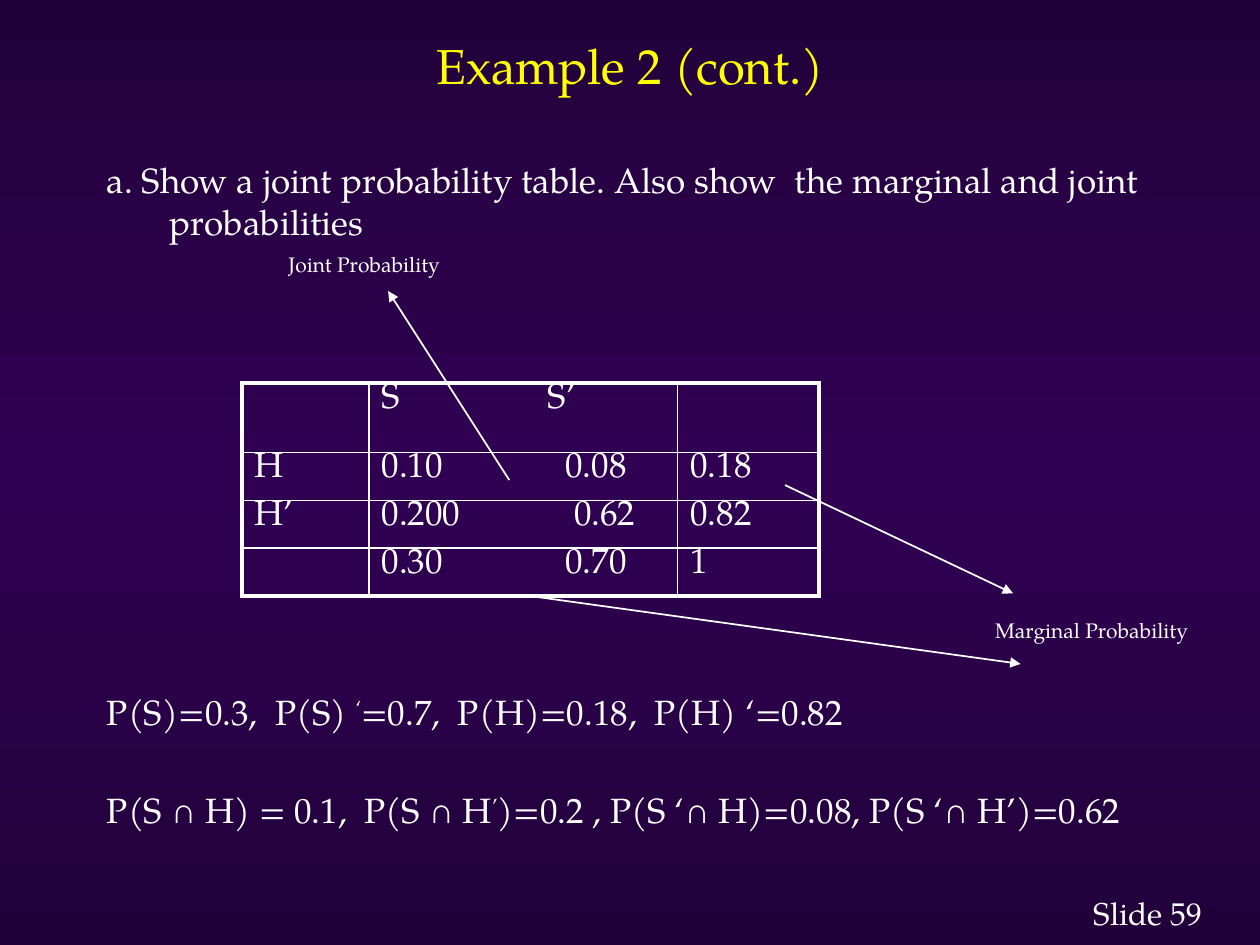
import copy
import pptx
import pptx.util
import pptx.dml.color
import pptx.enum.shapes
import pptx.enum.text
import pptx.oxml.ns
from lxml import etree

Pt = pptx.util.Pt
RGB = pptx.dml.color.RGBColor.from_string
Align = pptx.enum.text.PP_ALIGN
Anchor = pptx.enum.text.MSO_ANCHOR

# Content
TITLE = "Example 2 (cont.)"
# Space before, then runs; a lone quote mark is raised
BODY = [
    (0, ["a. Show a joint probability table. Also show  the marginal and joint probabilities"]),
    (256, ["P(S)=0.3,  P(S) ", "‘", "=0.7,  P(H)=0.18,  P(H) ‘=0.82"]),
    (32, ["P(S ", "∩", " H) = 0.1,  P(S ", "∩", " H", "’", ")=0.2 , P(S ‘", "∩",
          " H)=0.08, P(S ‘", "∩", " H’)=0.62"]),
]
ROWS = [
    ["", "S\tS’", ""],
    ["H", "0.10\t0.08", "0.18"],
    ["H’", "0.200\t0.62", "0.82"],
    ["", "0.30\t0.70", "1"],
]
TABS = [95, 105, 110, 105]
LABELS = [("Marginal Probability", 561.6, 349.2, 125),
          ("Joint Probability", 157.7, 140.4, 101)]
ARROWS = [((291, 274.3), (221.8, 166.3)),
          ((303, 340.6), (583.2, 379.4)),
          ((448.6, 277.2), (578.9, 339.1))]
FOOT = "Slide 59"

THEME = {
    "font": "TeX Gyre Pagella", "math": "Arial",
    "text": "FFFFFF", "title": "FFFF00",
    "back": [(0, "22013B"), (0.5, "300153"), (1, "22013B")],
    "big": 28, "body": 20, "foot": 18, "small": 12,
    "thick": 2.25, "thin": 1,
}
COLS = [72.7, 176.4, 80.7]
HEADS = [39.6, 27.4, 27.4, 27.4]


def style(run, size, color=THEME["text"], font=THEME["font"]):
    run.font.size = Pt(size)
    run.font.name = font
    run.font.color.rgb = RGB(color)


def add_text(slide, text, box, size, color=THEME["text"], wrap=False):
    frame = slide.shapes.add_textbox(*map(Pt, box)).text_frame
    frame.word_wrap = wrap
    frame.text = text
    for run in frame.paragraphs[0].runs:
        style(run, size, color)
    return frame


def sub(parent, tag, **attrs):
    return etree.SubElement(parent, pptx.oxml.ns.qn(tag), attrs)


def add_edge(props, side, width):
    line = sub(props, "a:" + side, w=str(Pt(width)))
    sub(sub(line, "a:solidFill"), "a:srgbClr", val=THEME["text"])


def paint(slide):
    fill = slide.background.fill
    fill.gradient()
    fill.gradient_angle = 90
    stops = slide.background._cSld.xpath(".//a:gsLst")[0]
    stops.append(copy.deepcopy(stops[0]))
    for stop, (place, color) in zip(fill.gradient_stops, THEME["back"]):
        stop.position = place
        stop.color.rgb = RGB(color)


def add_body(slide):
    frame = add_text(slide, "", (54, 87.1, 612, 418.3), THEME["body"], wrap=True)
    for num, (gap, parts) in enumerate(BODY):
        para = frame.add_paragraph() if num else frame.paragraphs[0]
        para.space_before = Pt(gap)
        props = para._p.get_or_add_pPr()
        props.set("marL", str(Pt(36)))
        props.set("indent", str(Pt(-36)))
        for part in parts:
            run = para.add_run()
            run.text = part
            style(run, THEME["body"], font=THEME["math" if part == "∩" else "font"])
            if part in ("‘", "’"):
                run._r.get_or_add_rPr().set("baseline", "30000")


def add_grid(slide):
    shape = slide.shapes.add_table(len(ROWS), len(COLS), Pt(138.2), Pt(218.9),
                                   Pt(sum(COLS)), Pt(sum(HEADS)))
    table = shape.table
    table.first_row = table.horz_banding = False
    for col, width in zip(table.columns, COLS):
        col.width = Pt(width)
    for row, height in zip(table.rows, HEADS):
        row.height = Pt(height)
    for r, row in enumerate(ROWS):
        for c, text in enumerate(row):
            cell = table.cell(r, c)
            cell.margin_top = cell.margin_bottom = 0
            cell.text_frame.text = text
            para = cell.text_frame.paragraphs[0]
            for run in para.runs:
                style(run, THEME["body"])
            if "\t" in text:
                stops = sub(para._p.get_or_add_pPr(), "a:tabLst")
                sub(stops, "a:tab", pos=str(Pt(TABS[r])), algn="l")
            # Thick outer edges, thin inner ones
            outer = {"lnL": c == 0, "lnR": c == len(COLS) - 1,
                     "lnT": r == 0, "lnB": r == len(ROWS) - 1}
            props = cell._tc.get_or_add_tcPr()
            for side, edge in outer.items():
                add_edge(props, side, THEME["thick" if edge else "thin"])
            cell.fill.background()


def add_arrow(slide, start, end):
    line = slide.shapes.add_connector(pptx.enum.shapes.MSO_CONNECTOR.STRAIGHT,
                                      *map(Pt, start + end))
    line.line.color.rgb = RGB(THEME["text"])
    line.line.width = Pt(THEME["thin"])
    sub(line.line._get_or_add_ln(), "a:tailEnd", type="triangle")
    sub(line._element.spPr, "a:effectLst")


def main():
    deck = pptx.Presentation()
    deck.slide_width, deck.slide_height = Pt(720), Pt(540)
    slide = deck.slides.add_slide(deck.slide_layouts[6])
    paint(slide)

    # Footer and title
    add_text(slide, FOOT, (617.8, 507.6, 78, 28.8), THEME["foot"])
    head = add_text(slide, TITLE, (54, 5, 612, 64.1), THEME["big"], THEME["title"], True)
    head.vertical_anchor = Anchor.MIDDLE
    head.paragraphs[0].alignment = Align.CENTER

    # Question, answers and table
    add_body(slide)
    add_grid(slide)

    # Labels and their arrows
    for text, left, top, width in LABELS:
        add_text(slide, text, (left, top, width, 21.6), THEME["small"])
    for start, end in ARROWS:
        add_arrow(slide, start, end)
    deck.save("out.pptx")


if __name__ == "__main__":
    main()
